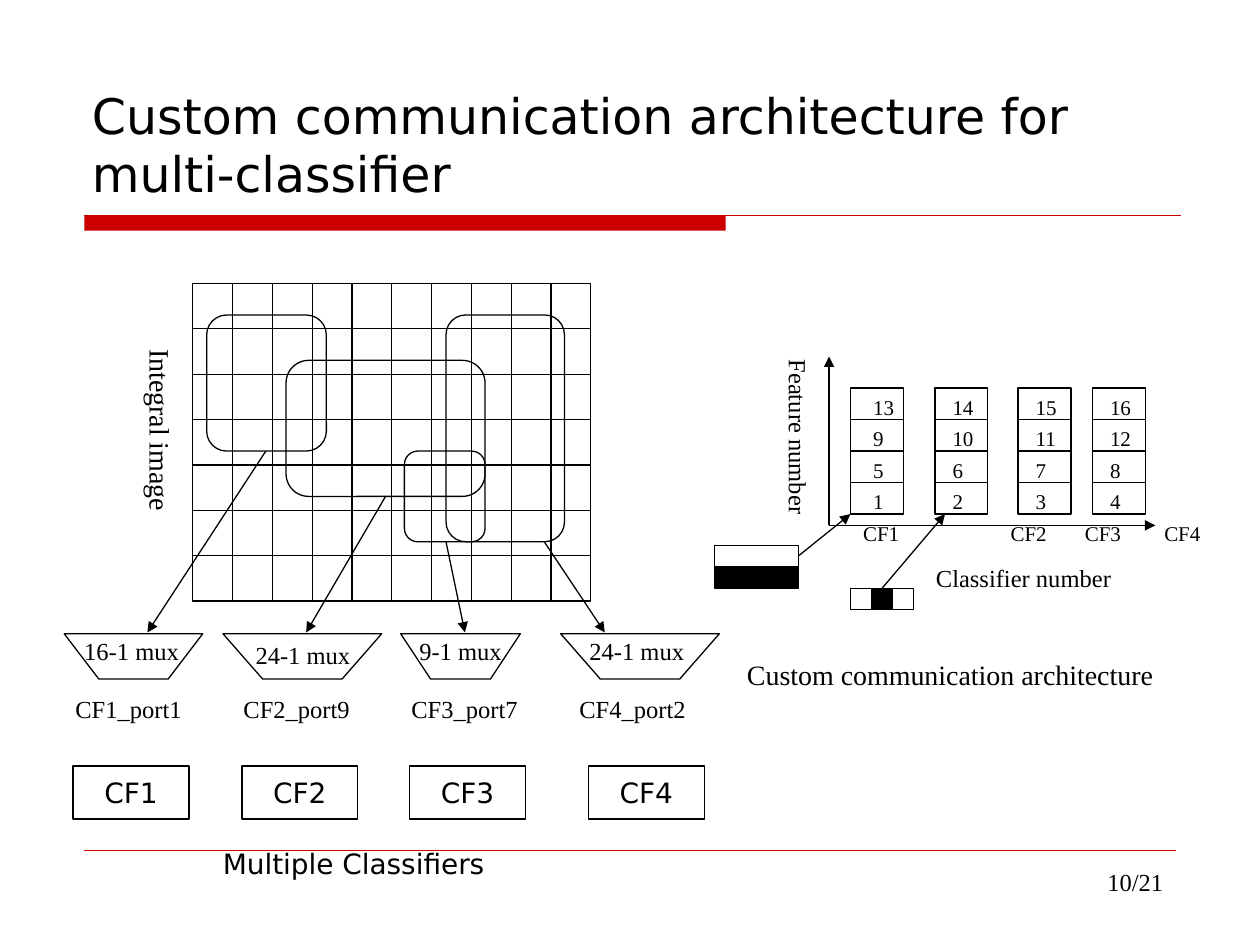
from lxml import etree
from pptx import Presentation
from pptx.dml.color import RGBColor
from pptx.enum.shapes import MSO_CONNECTOR as Connector, MSO_SHAPE as Shape
from pptx.enum.text import MSO_ANCHOR as Anchor, PP_ALIGN as Align
from pptx.oxml.ns import qn
from pptx.util import Inches, Pt

BLACK = RGBColor(0, 0, 0)
WHITE = RGBColor(255, 255, 255)
RED = RGBColor(0xCC, 0, 0)
SERIF = "Times New Roman"
SANS = "DejaVu Sans"


def write(shape, text, size=14, font=SERIF, align=Align.LEFT, anchor=Anchor.TOP,
          wrap=True, indent=0.1, tabs=(), vert=None):
    """Put formatted text into a shape and return the shape."""
    frame = shape.text_frame
    frame.word_wrap = wrap
    frame.vertical_anchor = anchor
    frame.margin_left, frame.margin_right = Inches(indent), Inches(0.1)
    frame.margin_top = frame.margin_bottom = Inches(0.05)
    if vert:
        frame.margin_left = frame.margin_right = Inches(0.05)
        frame.margin_top = frame.margin_bottom = Inches(0.1)
        frame._txBody.bodyPr.set("vert", vert)
    paragraph = frame.paragraphs[0]
    paragraph.alignment = align
    run = paragraph.add_run()
    run.text = text
    run.font.size, run.font.name = Pt(size), font
    run.font.color.rgb = BLACK
    if tabs:
        stops = etree.SubElement(paragraph._p.get_or_add_pPr(), qn("a:tabLst"))
        for stop in tabs:
            etree.SubElement(stops, qn("a:tab"), pos=str(Inches(stop)), algn="l")
    return shape


def label(slide, text, left, top, width, height, **style):
    """Add a text box."""
    box = slide.shapes.add_textbox(Inches(left), Inches(top), Inches(width), Inches(height))
    return write(box, text, **style)


def paint(shape, fill=None, line=BLACK):
    """Set the fill and outline of a shape, without a shadow."""
    shape.shadow.inherit = False
    if fill is None:
        shape.fill.background()
    else:
        shape.fill.solid()
        shape.fill.fore_color.rgb = fill
    if line is None:
        shape.line.fill.background()
    else:
        shape.line.color.rgb = line
        shape.line.width = Pt(0.75)
    return shape


def block(slide, left, top, width, height, fill=None, line=BLACK, kind=Shape.RECTANGLE):
    """Add a painted preset shape."""
    shape = slide.shapes.add_shape(kind, Inches(left), Inches(top), Inches(width), Inches(height))
    return paint(shape, fill, line)


def line(slide, x1, y1, x2, y2, color=BLACK, width=0.75, arrow=False):
    """Add a straight line, with an arrowhead at its end if asked."""
    connector = slide.shapes.add_connector(
        Connector.STRAIGHT, Inches(x1), Inches(y1), Inches(x2), Inches(y2))
    connector.line.color.rgb = color
    connector.line.width = Pt(width)
    if arrow:
        etree.SubElement(connector.line._get_or_add_ln(), qn("a:tailEnd"), type="triangle")
    etree.SubElement(connector._element.spPr, qn("a:effectLst"))


def add_frame(slide, left, top, width, height):
    """Place the title, the red rules and the page number."""
    title = slide.shapes.title
    title.left, title.top = Inches(left - 0.04), Inches(top)
    title.width, title.height = Inches(8.75), Inches(1.33)
    write(title, "Custom communication architecture for multi-classifier",
          size=28, font=SANS, anchor=Anchor.BOTTOM)
    rule = top + 1.38
    block(slide, left, rule, 5.09, 0.12, RED, None)
    line(slide, left, rule, left + 8.7, rule, RED)
    bottom = top + height
    line(slide, left, bottom, left + width, bottom, RED, 0.25)
    label(slide, "10/21", left + width - 2.08, bottom + 0.08, 2.08, 0.5, align=Align.RIGHT)


def add_integral_image(slide, left, top, width, height, columns=10, rows=7):
    """Place the pixel grid, its caption and the feature windows."""
    block(slide, left, top, width, height, WHITE)
    for row in range(1, rows):
        y = top + height * row / rows
        line(slide, left, y, left + width, y)
    for column in range(1, columns):
        x = left + width * column / columns
        line(slide, x, top, x, top + height)
    label(slide, "Integral image", left - 0.7, top + 0.42, 0.63, 1.98,
          size=16, align=Align.CENTER, vert="eaVert")
    windows = [(0.11, 0.25, 0.95, 1.08), (0.74, 0.61, 1.58, 1.08),
               (1.68, 1.33, 0.64, 0.72), (2.01, 0.25, 0.94, 1.8)]
    for x, y, w, h in windows:
        block(slide, left + x, top + y, w, h, kind=Shape.ROUNDED_RECTANGLE)
    for x1, y1, x2 in [(0.58, 1.33, -0.36), (1.53, 1.69, 0.9),
                       (2.01, 2.05, 2.16), (2.79, 2.05, 3.27)]:
        line(slide, left + x1, top + y1, left + x2, top + 2.77, arrow=True)


def add_mux(slide, left, top, width, height, text, dx, dy):
    """Place one multiplexer, a trapezoid with its label."""
    corners = [(left + width, top), (left + width * 0.75, top + height),
               (left + width * 0.25, top + height)]
    outline = slide.shapes.build_freeform(Inches(left), Inches(top))
    outline.add_line_segments([(Inches(x), Inches(y)) for x, y in corners], close=True)
    paint(outline.convert_to_shape(), WHITE)
    label(slide, text, left + dx, top + dy, 1.26, 0.54)


def add_classifiers(slide, left, top):
    """Place the multiplexers, their ports and the classifiers below."""
    muxes = [(0.01, 1.1, "16-1 mux", 0.06, -0.03), (1.27, 1.26, "24-1 mux", 0.16, 0),
             (2.68, 0.95, "9-1 mux", 0.05, -0.03), (3.95, 1.26, "24-1 mux", 0.13, -0.03)]
    for x, width, text, dx, dy in muxes:
        add_mux(slide, left + x, top, width, 0.36, text, dx, dy)
    ports = ["CF1_port1", "CF2_port9", "CF3_port7", "CF4_port2"]
    for index, (port, x) in enumerate(zip(ports, [0.08, 1.42, 2.75, 4.17])):
        label(slide, port, left + index * 4 / 3, top + 0.43, 1.58, 0.54)
        classifier = block(slide, left + x, top + 1.05, 0.92, 0.42, WHITE)
        write(classifier, port[:3], size=16, font=SANS, align=Align.CENTER,
              anchor=Anchor.MIDDLE, wrap=False)
    label(slide, "Multiple Classifiers", left + 1.17, top + 1.64, 3.08, 0.37,
          size=16, font=SANS)


def add_feature_plot(slide, left, top, width, height):
    """Place the axes and the stacks of numbered features."""
    bottom = top + height
    line(slide, left, bottom, left, top, arrow=True)
    line(slide, left, bottom, left + width, bottom, arrow=True)
    for row in range(4):
        y = top + 1 - row * 0.25
        for x in (0.17, 0.84, 1.5, 2.09):
            block(slide, left + x, y, 0.42, 0.25)
        numbers = "\t".join(str(row * 4 + column) for column in range(1, 5))
        label(slide, numbers, left - 0.25, y, 3.08, 0.34, size=12,
              indent=0.6, tabs=(0.63, 1.29, 1.88))
    label(slide, "CF1\tCF2\tCF3\tCF4", left - 0.33, bottom - 0.09, 3.41, 0.34, size=12,
          indent=0.6, tabs=(1.17, 1.76, 2.39))
    label(slide, "Classifier number", left + 0.75, bottom + 0.25, 1.83, 0.34)
    label(slide, "Feature number", left - 1.16, top + 0.67, 1.83, 0.34).rotation = 90


def add_feature_types(slide, left, top):
    """Place the two feature patterns, their arrows and the caption."""
    for row, fill in enumerate((WHITE, BLACK)):
        block(slide, left, top + row / 6, 0.67, 0.17, fill)
    line(slide, left + 0.67, top + 0.08, left + 1.08, top - 0.25, arrow=True)
    for column, fill in enumerate((WHITE, BLACK, WHITE)):
        block(slide, left + 1.08 + column / 6, top + 0.34, 0.17, 0.17, fill)
    line(slide, left + 1.33, top + 0.34, left + 1.83, top - 0.25, arrow=True)
    label(slide, "Custom communication architecture", left + 0.16, top + 0.84, 3.58, 0.37,
          size=16)


def main():
    """Build the slide and save it."""
    deck = Presentation()
    deck.slide_width, deck.slide_height = Inches(10), Inches(7.5)
    slide = deck.slides.add_slide(deck.slide_layouts[5])
    add_frame(slide, 0.67, 0.33, 8.66, 6.42)
    add_integral_image(slide, 1.53, 2.25, 3.16, 2.52)
    add_classifiers(slide, 0.5, 5.03)
    add_feature_types(slide, 5.67, 4.33)
    add_feature_plot(slide, 6.58, 2.83, 2.59, 1.34)
    deck.save("out.pptx")


if __name__ == "__main__":
    main()
